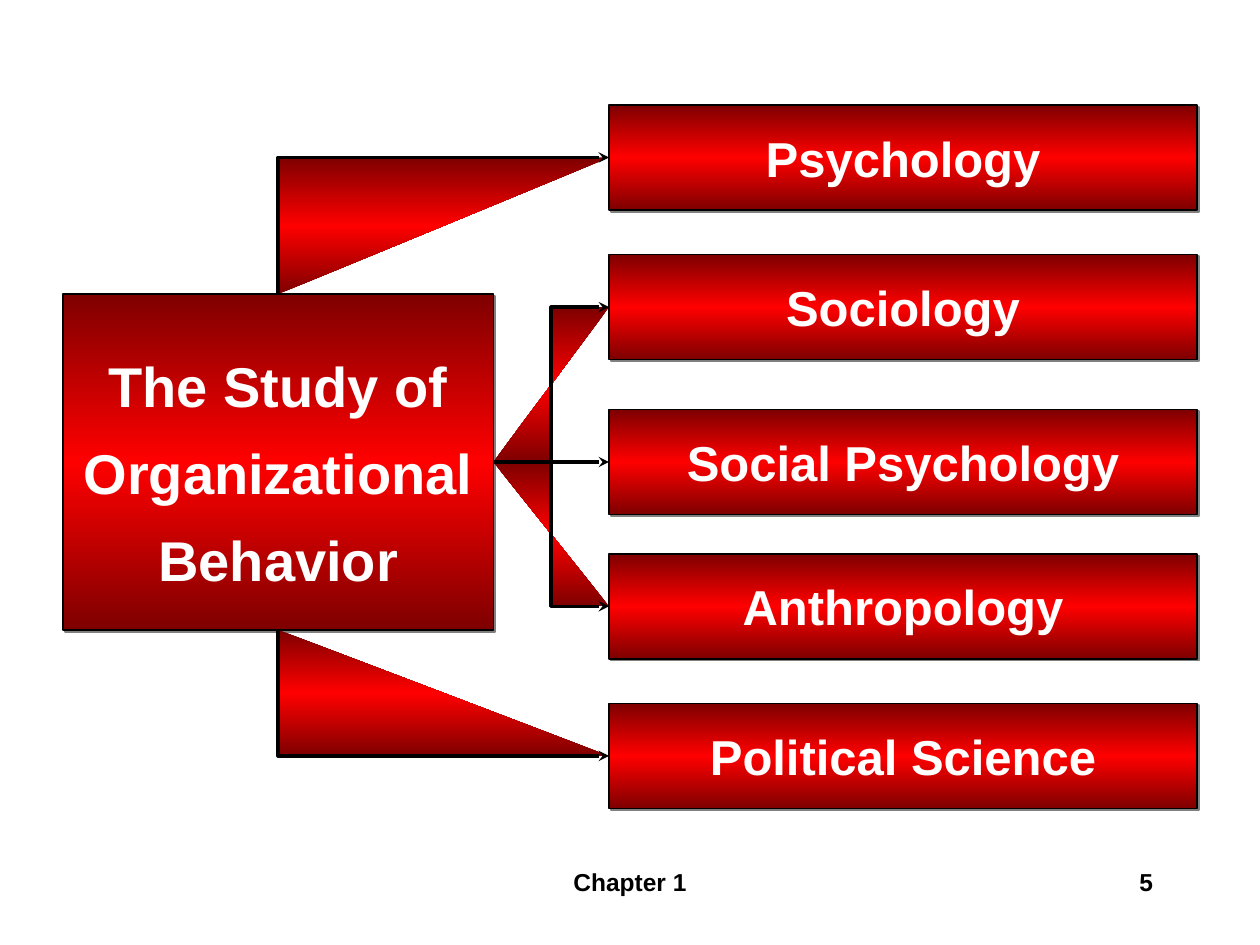
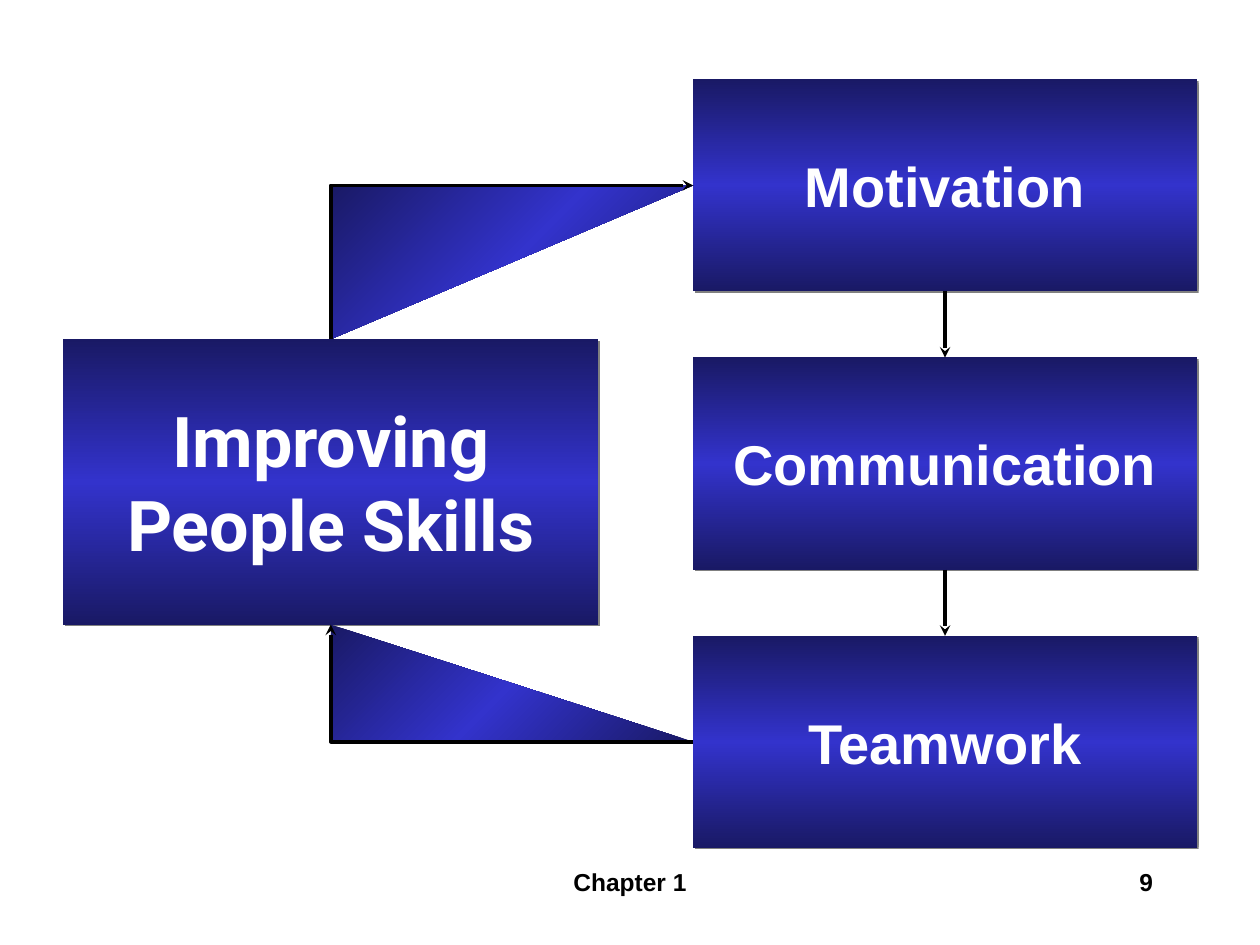
from collections import namedtuple

from pptx import Presentation
from pptx.dml.color import RGBColor
from pptx.enum.shapes import MSO_CONNECTOR as LINK, MSO_SHAPE as SHAPE
from pptx.enum.text import MSO_ANCHOR as ANCHOR, PP_ALIGN as ALIGN
from pptx.oxml import parse_xml
from pptx.oxml.ns import nsdecls, qn
from pptx.util import Inches, Pt

COLS, ROWS = 120, 90
WIDTH, HEIGHT = Inches(10), Inches(7.5)
HUE = {"ink": "000000", "text": "FFFFFF", "shade": "808080"}
RED = {"edge": "7E0000", "core": "FF0000"}
BLUE = {"edge": "191965", "core": "3333CC"}
NS = nsdecls("a")

# A block's place on the grid, in columns and rows
Area = namedtuple("Area", "left top width height")


def col(n):
    return round(WIDTH * n / COLS)


def row(n):
    return round(HEIGHT * n / ROWS)


def place(area):
    return col(area.left), row(area.top), col(area.width), row(area.height)


def mid(area):
    return area.left + area.width / 2, area.top + area.height / 2


# Shared styling
def blend(shape, tone, angle=90):
    """Fill with a gradient that is dark at both ends."""
    stops = zip((0, 50, 100), ("edge", "core", "edge"))
    marks = "".join(
        f'<a:gs pos="{pos * 1000}"><a:srgbClr val="{tone[key]}"/></a:gs>'
        for pos, key in stops)
    shape.fill.background()
    props = shape.element.spPr
    props.replace(props.find(qn("a:noFill")), parse_xml(
        f'<a:gradFill {NS} rotWithShape="1"><a:gsLst>{marks}</a:gsLst>'
        f'<a:lin ang="{angle * 60000}" scaled="0"/></a:gradFill>'))


def shade(shape):
    shape.shadow.inherit = False
    effects = shape.element.spPr.find(qn("a:effectLst"))
    effects.append(parse_xml(
        f'<a:outerShdw {NS} dist="17780" dir="2700000">'
        f'<a:srgbClr val="{HUE["shade"]}"/></a:outerShdw>'))


def stroke(shape, width):
    shape.line.color.rgb = RGBColor.from_string(HUE["ink"])
    shape.line.width = Pt(width)


def tip(shape):
    stroke(shape, 2)
    props = shape.element.spPr
    props.find(qn("a:ln")).append(
        parse_xml(f'<a:tailEnd {NS} type="stealth"/>'))


def write(shape, lines, size, hue, align=ALIGN.CENTER, face="Arial", gap=1.0):
    frame = shape.text_frame
    style = {"name": face, "size": Pt(size), "bold": True}
    for i, line in enumerate(lines):
        para = frame.add_paragraph() if i else frame.paragraphs[0]
        para.text = line
        para.alignment = align
        para.line_spacing = gap
        for key, value in style.items():
            setattr(para.font, key, value)
        para.font.color.rgb = RGBColor.from_string(HUE[hue])


# Elements
def block(slide, area, lines, tone, size, edge=0, **style):
    shape = slide.shapes.add_shape(SHAPE.RECTANGLE, *place(area))
    blend(shape, tone)
    if edge:
        stroke(shape, edge)
    else:
        shape.line.fill.background()
    shade(shape)
    shape.text_frame.word_wrap = False
    shape.text_frame.vertical_anchor = ANCHOR.MIDDLE
    write(shape, lines, size, "text", **style)


def bend(slide, spots, tone, angle=90):
    """Draw a filled, open elbow that ends in an arrowhead."""
    spots = [(col(x), row(y)) for x, y in spots]
    pen = slide.shapes.build_freeform(*spots[0])
    pen.add_line_segments(spots[1:], close=False)
    shape = pen.convert_to_shape()
    blend(shape, tone, angle)
    shape.shadow.inherit = False
    tip(shape)


def arrow(slide, start, end):
    (x1, y1), (x2, y2) = start, end
    line = slide.shapes.add_connector(
        LINK.STRAIGHT, col(x1), row(y1), col(x2), row(y2))
    tip(line)
    line.element.spPr.append(parse_xml(f"<a:effectLst {NS}/>"))


def label(slide, area, text, align):
    box = slide.shapes.add_textbox(*place(area))
    box.text_frame.word_wrap = True
    write(box, [text], 14, "ink", align)


def start(deck, page):
    slide = deck.slides.add_slide(deck.slide_layouts[6])
    label(slide, Area(41, 82, 38, 6), "Chapter 1", ALIGN.CENTER)
    label(slide, Area(86, 82, 25, 6), str(page), ALIGN.RIGHT)
    return slide


# Slides
def fields(deck):
    slide = start(deck, 5)
    hub = Area(6, 28, 41, 32)
    block(slide, hub, ["The Study of", "Organizational", "Behavior"],
          RED, 32, edge=1, gap=1.3)
    tops = {"Psychology": 10, "Sociology": 24.25, "Social Psychology": 39,
            "Anthropology": 52.75, "Political Science": 67}
    areas = [Area(58, top, 56, 10) for top in tops.values()]
    for name, area in zip(tops, areas):
        block(slide, area, [name], RED, 28, edge=1)

    # Arrows from the hub to each field
    hub_x, hub_y = mid(hub)
    right, end = hub.left + hub.width, areas[0].left
    turn = (right + end) / 2
    first, second, _, fourth, last = [mid(area)[1] for area in areas]
    bend(slide, [(hub_x, hub.top), (hub_x, first), (end, first)], RED)
    for y in (second, fourth):
        bend(slide, [(right, hub_y), (turn, hub_y), (turn, y), (end, y)], RED)
    arrow(slide, (right, hub_y), (end, hub_y))
    bend(slide, [(hub_x, hub.top + hub.height), (hub_x, last), (end, last)],
         RED)


def skills(deck):
    slide = start(deck, 9)
    hub = Area(6, 32.3, 51, 27.2)
    block(slide, hub, ["Improving", "People Skills"], BLUE, 40, face="Roboto")
    names = ["Motivation", "Communication", "Teamwork"]
    areas = [Area(66, 7.55 + 26.5 * i, 48, 20.2) for i in range(len(names))]
    for name, area in zip(names, areas):
        block(slide, area, [name], BLUE, 32)

    # The loop through the three skills and back to the hub
    hub_x, end = mid(hub)[0], areas[0].left
    first, last = mid(areas[0])[1], mid(areas[-1])[1]
    bend(slide, [(hub_x, hub.top), (hub_x, first), (end, first)], BLUE, 225)
    for upper, lower in zip(areas, areas[1:]):
        x = mid(upper)[0]
        arrow(slide, (x, upper.top + upper.height), (x, lower.top))
    bend(slide, [(end, last), (hub_x, last), (hub_x, hub.top + hub.height)],
         BLUE, 225)


def main():
    deck = Presentation()
    deck.slide_width, deck.slide_height = WIDTH, HEIGHT
    fields(deck)
    skills(deck)
    deck.save("out.pptx")


if __name__ == "__main__":
    main()
